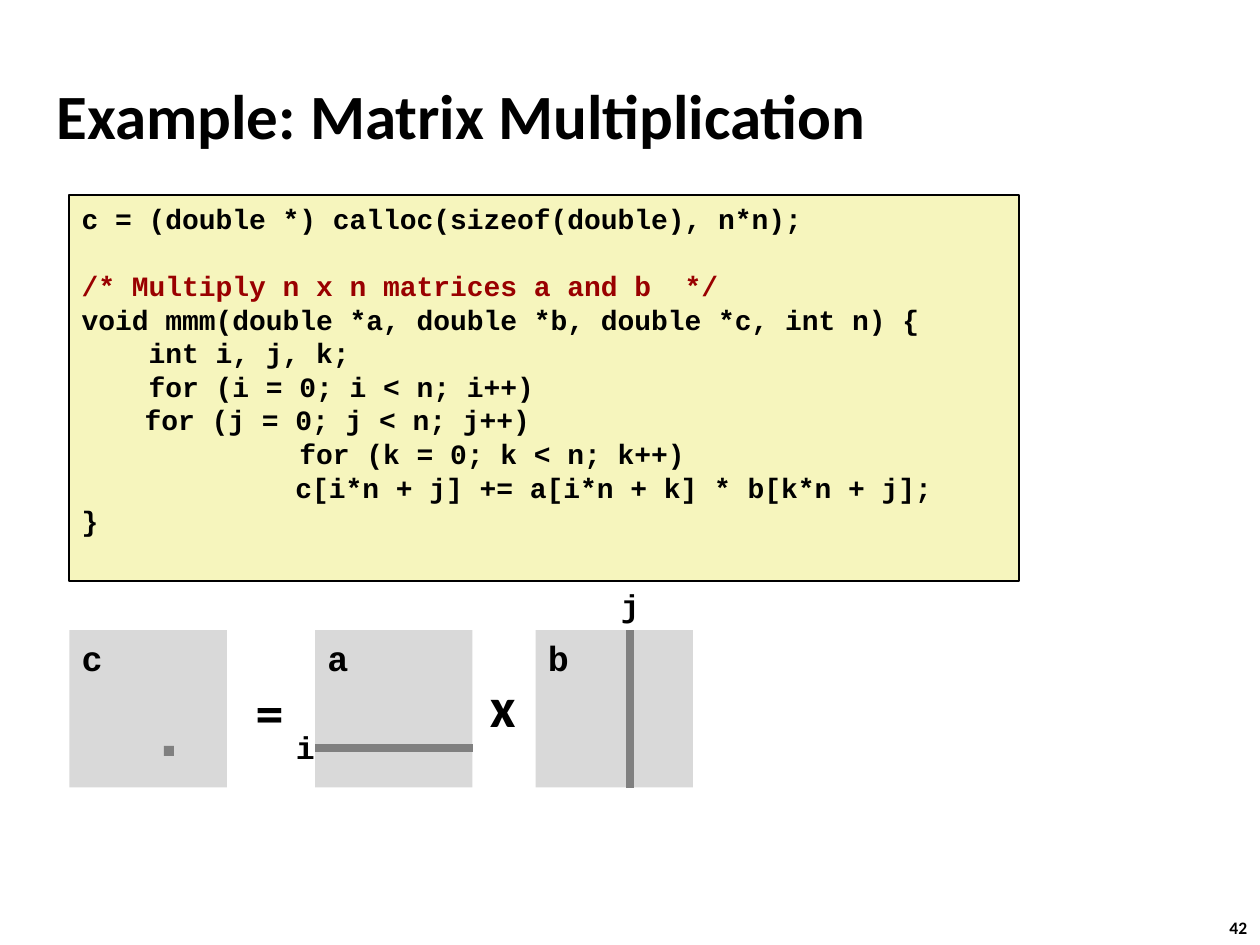
from typing import NamedTuple

from lxml import etree
from pptx import Presentation
from pptx.dml.color import RGBColor
from pptx.enum.shapes import MSO_CONNECTOR, MSO_SHAPE
from pptx.enum.text import MSO_ANCHOR, MSO_AUTO_SIZE, PP_ALIGN
from pptx.oxml.ns import qn
from pptx.util import Inches, Pt

RECTANGLE = MSO_SHAPE.RECTANGLE
STRAIGHT = MSO_CONNECTOR.STRAIGHT
TOP, MIDDLE = MSO_ANCHOR.TOP, MSO_ANCHOR.MIDDLE
FIXED, GROW = MSO_AUTO_SIZE.NONE, MSO_AUTO_SIZE.SHAPE_TO_FIT_TEXT
LEFT = PP_ALIGN.LEFT

SANS, MONO = "Calibri", "Courier New"
BLACK, COMMENT, CODE_FILL = "000000", "990000", "F6F5BD"
MATRIX_FILL, HIGHLIGHT = "D9D9D9", "808080"

# Matrix row: one unit is the side of a matrix
SIDE = 1.25
MARGIN, MATRIX_TOP = 0.55, 5
ROW_SHARE, COLUMN_SHARE = 0.75, 0.6  # where row i and column j lie

CODE = """c = (double *) calloc(sizeof(double), n*n);

/* Multiply n x n matrices a and b  */
void mmm(double *a, double *b, double *c, int n) {
    int i, j, k;
    for (i = 0; i < n; i++)
\tfor (j = 0; j < n; j++)
             for (k = 0; k < n; k++)
\t         c[i*n + j] += a[i*n + k] * b[k*n + j];
}"""


class Matrix(NamedTuple):
    name: str
    left: float


class Label(NamedTuple):
    text: str
    left: float
    top: float
    width: float
    height: float
    size: int
    font: str


C, A, B = Matrix("c", MARGIN), Matrix("a", 2 * SIDE), Matrix("b", 3.4 * SIDE)
ROW_Y = MATRIX_TOP + ROW_SHARE * SIDE
COLUMN_X = B.left + COLUMN_SHARE * SIDE

LABELS = [
    Label("i", 2.25, 5.73, 0.35, 0.4, 18, MONO),
    Label("j", 4.83, 4.6, 0.35, 0.4, 18, MONO),
    Label("x", 3.79, 5.28, 0.41, 0.64, 32, SANS),
    Label("=", 1.93, 5.33, 0.43, 0.64, 32, SANS),
    Label("42", 9.66, 7.23, 0.37, 0.27, 10, SANS),
]


def color(value: str) -> RGBColor:
    return RGBColor.from_string(value)


def write(frame, lines: list[str], size: int, font: str) -> None:
    """Fill a text frame with bold left-aligned lines."""
    frame.text = "\n".join(lines)
    for para in frame.paragraphs:
        para.alignment = LEFT
        para.font.name, para.font.size, para.font.bold = font, Pt(size), True
        is_comment = para.text.startswith("/*")
        para.font.color.rgb = color(COMMENT if is_comment else BLACK)


def add_box(slide, left: float, top: float, width: float, height: float, fill: str):
    box = slide.shapes.add_shape(
        RECTANGLE, Inches(left), Inches(top), Inches(width), Inches(height))
    box.shadow.inherit = False
    box.fill.solid()
    box.fill.fore_color.rgb = color(fill)
    box.line.fill.background()
    box.text_frame.vertical_anchor = TOP
    return box


def add_matrix(slide, matrix: Matrix) -> None:
    box = add_box(slide, matrix.left, MATRIX_TOP, SIDE, SIDE, MATRIX_FILL)
    write(box.text_frame, [matrix.name], 20, MONO)


def add_bar(slide, x1: float, y1: float, x2: float, y2: float) -> None:
    bar = slide.shapes.add_connector(
        STRAIGHT, Inches(x1), Inches(y1), Inches(x2), Inches(y2))
    bar.line.color.rgb = color(HIGHLIGHT)
    bar.line.width = Pt(4.5)
    etree.SubElement(bar._element.spPr, qn("a:effectLst"))


def add_label(slide, label: Label) -> None:
    box = slide.shapes.add_textbox(
        Inches(label.left), Inches(label.top), Inches(label.width), Inches(label.height))
    box.text_frame.word_wrap = False
    box.text_frame.auto_size = GROW
    write(box.text_frame, [label.text], label.size, label.font)


def add_title(slide, text: str) -> None:
    title = slide.shapes.title
    title.left, title.top = Inches(0.35), Inches(0.49)
    title.width, title.height = Inches(8.3), Inches(0.83)
    title.text_frame.vertical_anchor = MIDDLE
    title.text_frame.auto_size = FIXED
    write(title.text_frame, [text], 36, SANS)


def add_code(slide) -> None:
    box = add_box(slide, MARGIN, 1.55, 7.54, 3.06, CODE_FILL)
    box.line.color.rgb = color(BLACK)
    box.line.width = Pt(1)
    box.text_frame.word_wrap = True
    write(box.text_frame, CODE.split("\n"), 16, MONO)


def main() -> None:
    deck = Presentation()
    deck.slide_width, deck.slide_height = Inches(10), Inches(7.5)
    page = deck.slides.add_slide(deck.slide_layouts[5])

    add_title(page, "Example: Matrix Multiplication")

    # Matrices, with row i of a, column j of b and the element of c
    for matrix in (A, B, C):
        add_matrix(page, matrix)
    add_bar(page, A.left, ROW_Y, A.left + SIDE, ROW_Y)
    add_bar(page, COLUMN_X, MATRIX_TOP, COLUMN_X, MATRIX_TOP + SIDE)
    add_box(page, C.left + COLUMN_SHARE * SIDE, 5.92, 0.08, 0.08, HIGHLIGHT)

    # Indices, operators and page number
    for label in LABELS:
        add_label(page, label)

    add_code(page)
    deck.save("out.pptx")


if __name__ == "__main__":
    main()
